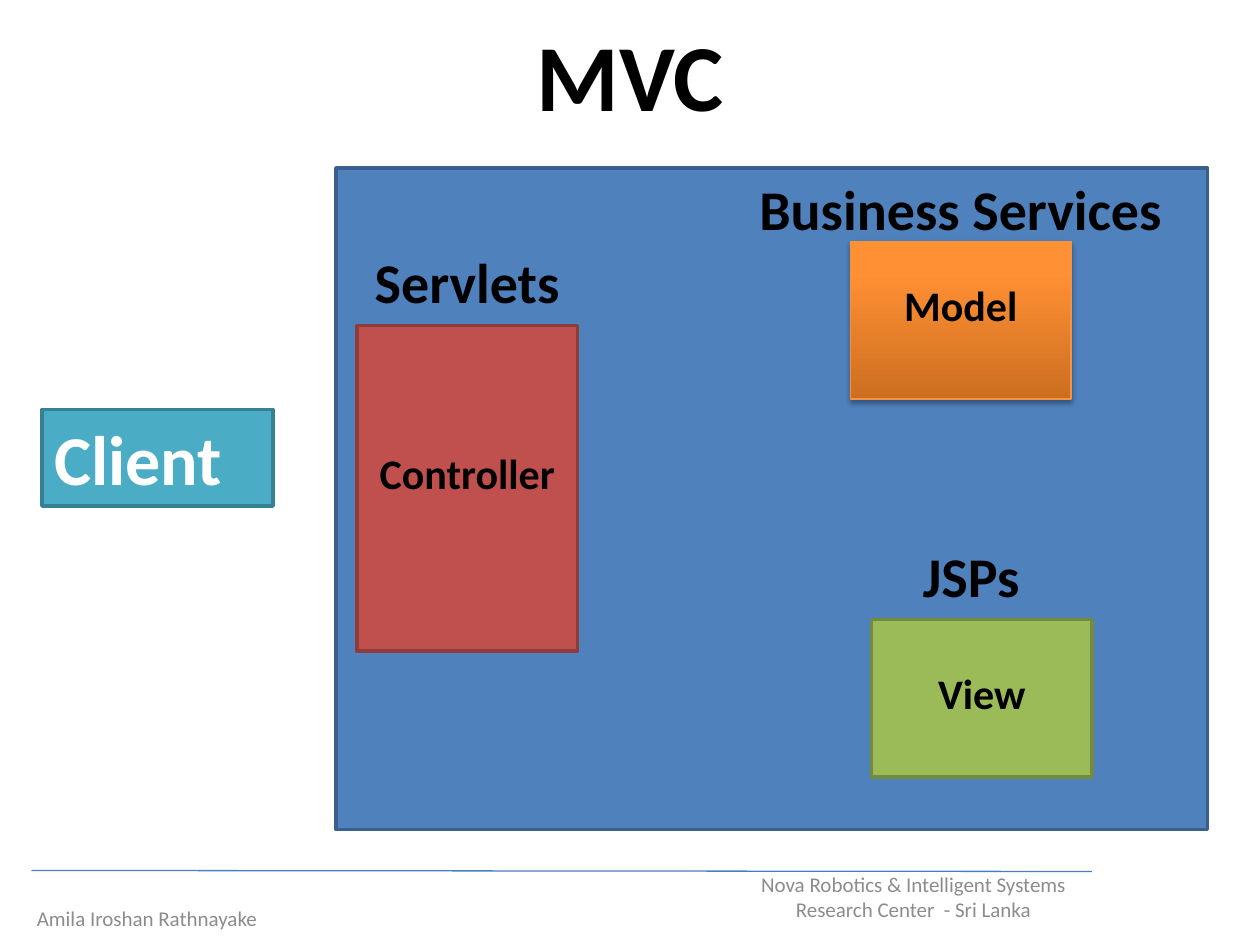
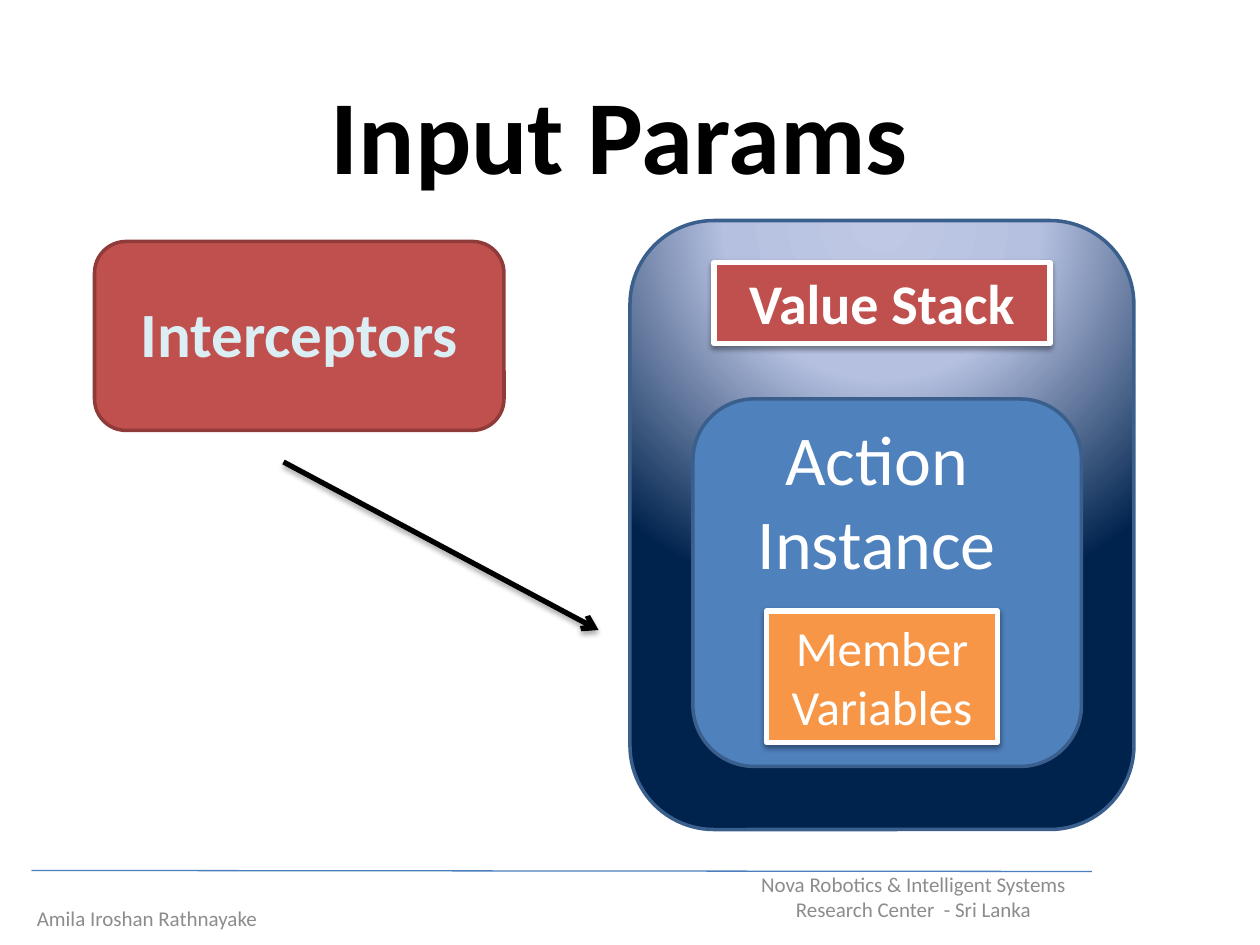
"""Builds two diagram slides: the MVC layers and the flow of input parameters."""
from dataclasses import dataclass

from lxml import etree
from pptx import Presentation
from pptx.dml.color import RGBColor
from pptx.enum.shapes import MSO_CONNECTOR, MSO_SHAPE
from pptx.enum.text import MSO_ANCHOR, MSO_AUTO_SIZE, PP_ALIGN
from pptx.oxml import parse_xml
from pptx.oxml.ns import qn
from pptx.util import Pt

PX = 7620
TITLE_ONLY = 5
RECT, ROUND = MSO_SHAPE.RECTANGLE, MSO_SHAPE.ROUNDED_RECTANGLE
STRAIGHT = MSO_CONNECTOR.STRAIGHT
LEFT, CENTER = PP_ALIGN.LEFT, PP_ALIGN.CENTER
TOP, MIDDLE = MSO_ANCHOR.TOP, MSO_ANCHOR.MIDDLE
GROW, FIXED = MSO_AUTO_SIZE.SHAPE_TO_FIT_TEXT, MSO_AUTO_SIZE.NONE
NS = "http://schemas.openxmlformats.org/drawingml/2006/main"


@dataclass(frozen=True)
class Theme:
    font = "Calibri"
    black, white, grey = "000000", "FFFFFF", "8C8C8C"
    blue, blue_edge, rule = "4F81BD", "3A5F8C", "4B7EBC"
    red, red_edge = "C0504D", "8E3B39"
    teal, teal_edge = "4BACC6", "377F92"
    green, green_edge = "9BBB59", "738A42"
    orange, orange_edge, pale = "F79646", "F69240", "DBEEF4"
    amber_stops = [(0, "CC6E20"), (80, "FF9034"), (100, "FF9136")]
    amber_path = '<a:lin ang="16200000" scaled="0"/>'
    night_stops = [(0, "BFC9E5"), (40, "B5C0E0"), (100, "00234D")]
    night_path = ('<a:path path="circle"><a:fillToRect l="50000" t="-80000" '
                  'r="50000" b="180000"/></a:path>')
    soft_shadow = (35, 3.1, 1.8)
    card_shadow = (38, 3.1, 1.6)
    caption, heading, footer = 24, 32, 12
    small, medium, large = 28, 36, 40


T = Theme()

BOXES = {
    "panel": (RECT, T.blue, T.blue_edge, 2, None),
    "client": (RECT, T.teal, T.teal_edge, 2, None),
    "controller": (RECT, T.red, T.red_edge, 2, None),
    "model": (RECT, (T.amber_stops, T.amber_path), T.orange_edge, 0.75, T.soft_shadow),
    "view": (RECT, T.green, T.green_edge, 2, None),
    "stack": (ROUND, (T.night_stops, T.night_path), T.blue_edge, 2, None),
    "action": (ROUND, T.blue, T.blue_edge, 2, None),
    "interceptors": (ROUND, T.red, T.red_edge, 2, None),
    "red card": (RECT, T.red, T.white, 3, T.card_shadow),
    "orange card": (RECT, T.orange, T.white, 3, T.card_shadow),
}

TEXTS = {
    "client": (T.large, T.white, True, LEFT),
    "caption": (T.caption, T.black, True, CENTER),
    "heading": (T.heading, T.black, True, CENTER),
    "card title": (T.heading, T.white, True, CENTER),
    "card": (T.small, T.white, False, CENTER),
    "action": (T.large, T.white, False, CENTER),
    "interceptors": (T.medium, T.pale, True, CENTER),
    "footer": (T.footer, T.grey, False, CENTER),
}

FOOTERS = [
    ("Nova Robotics & Intelligent Systems Research Center  - Sri Lanka", (680, 830, 380, 48)),
    ("Amila Iroshan Rathnayake", (0, 850, 280, 48)),
]
FOOTER_RULE = (30, 829, 1040, 830)

SLIDES = [
    {
        "title": ("MVC", 54, (0, 10, 1200, 121)),
        "parts": [
            ("panel", None, "", (320, 160, 830, 630)),
            ("client", "client", "Client", (40, 390, 220, 92)),
            ("controller", None, "", (340, 310, 210, 310)),
            ("model", None, "", (810, 230, 210, 150)),
            ("view", None, "", (830, 590, 210, 150)),
            (None, "caption", "Controller", (340, 420, 210, 60)),
            (None, "caption", "Model", (810, 260, 210, 60)),
            (None, "caption", "View", (830, 630, 210, 60)),
            (None, "heading", "Servlets", (320, 230, 250, 77)),
            (None, "heading", "JSPs", (800, 510, 250, 77)),
            (None, "heading", "Business Services", (670, 160, 490, 77)),
        ],
        "arrows": [],
    },
    {
        "title": ("Input Params", 60, (230, 60, 720, 133)),
        "parts": [
            ("stack", None, "", (600, 210, 480, 580)),
            ("red card", "card title", "Value Stack", (680, 250, 320, 77)),
            ("action", None, "", (660, 380, 370, 350)),
            (None, "action", "Action Instance", (690, 390, 290, 174)),
            ("orange card", "card", "Member Variables", (730, 582, 220, 125)),
            ("interceptors", None, "", (90, 230, 390, 180)),
            (None, "interceptors", "Interceptors", (100, 275, 370, 85)),
        ],
        "arrows": [(270, 440, 570, 600)],
    },
]


def emu(lengths):
    return [n * PX for n in lengths]


def rgb(code):
    return RGBColor.from_string(code)


def write(tf, text, style, anchor=TOP, fit=GROW):
    size, color, bold, align = style
    tf.text = text
    tf.word_wrap, tf.auto_size, tf.vertical_anchor = True, fit, anchor
    p = tf.paragraphs[0]
    p.alignment = align
    font = p.runs[0].font
    font.name, font.size, font.bold = T.font, Pt(size), bold
    font.color.rgb = rgb(color)


def paint(sp, fill):
    sp.fill.solid()
    if isinstance(fill, str):
        sp.fill.fore_color.rgb = rgb(fill)
        return
    stops, direction = fill
    marks = "".join(f'<a:gs pos="{pos * 1000}"><a:srgbClr val="{color}"/></a:gs>'
                    for pos, color in stops)
    gradient = parse_xml(f'<a:gradFill xmlns:a="{NS}" rotWithShape="1">'
                         f'<a:gsLst>{marks}</a:gsLst>{direction}</a:gradFill>')
    spPr = sp._element.spPr
    spPr.replace(spPr.find(qn("a:solidFill")), gradient)


def outline(sp, color, width, shadow):
    sp.line.color.rgb = rgb(color)
    sp.line.width = Pt(width)
    effects = etree.SubElement(sp._element.spPr, qn("a:effectLst"))
    if shadow:
        alpha, blur, distance = shadow
        outer = etree.SubElement(effects, qn("a:outerShdw"), blurRad=str(Pt(blur)),
                                 dist=str(Pt(distance)), dir="5400000", rotWithShape="0")
        color = etree.SubElement(outer, qn("a:srgbClr"), val=T.black)
        etree.SubElement(color, qn("a:alpha"), val=str(alpha * 1000))


def add_part(s, box, text_style, text, at):
    if box:
        kind, fill, edge, width, shadow = BOXES[box]
        sp = s.shapes.add_shape(kind, *emu(at))
        paint(sp, fill)
        outline(sp, edge, width, shadow)
    else:
        sp = s.shapes.add_textbox(*emu(at))
    if text:
        write(sp.text_frame, text, TEXTS[text_style])


def add_line(s, ends, color, width, shadow=None):
    line = s.shapes.add_connector(STRAIGHT, *emu(ends))
    outline(line, color, width, shadow)
    return line


def add_footer(s):
    for text, at in FOOTERS:
        tb = s.shapes.add_textbox(*emu(at))
        write(tb.text_frame, text, TEXTS["footer"], MIDDLE, FIXED)
    add_line(s, FOOTER_RULE, T.rule, 0.75)


def add_slide(prs, content):
    s = prs.slides.add_slide(prs.slide_layouts[TITLE_ONLY])
    text, size, at = content["title"]
    title = s.shapes.title
    title.left, title.top, title.width, title.height = emu(at)
    write(title.text_frame, text, (size, T.black, True, CENTER))
    add_footer(s)
    for part in content["parts"]:
        add_part(s, *part)
    for ends in content["arrows"]:
        arrow = add_line(s, ends, T.black, 3, T.soft_shadow)
        etree.SubElement(arrow.line._get_or_add_ln(), qn("a:tailEnd"), type="arrow")


def main():
    prs = Presentation()
    prs.slide_width, prs.slide_height = emu((1200, 900))
    for content in SLIDES:
        add_slide(prs, content)
    prs.save("out.pptx")


if __name__ == "__main__":
    main()
